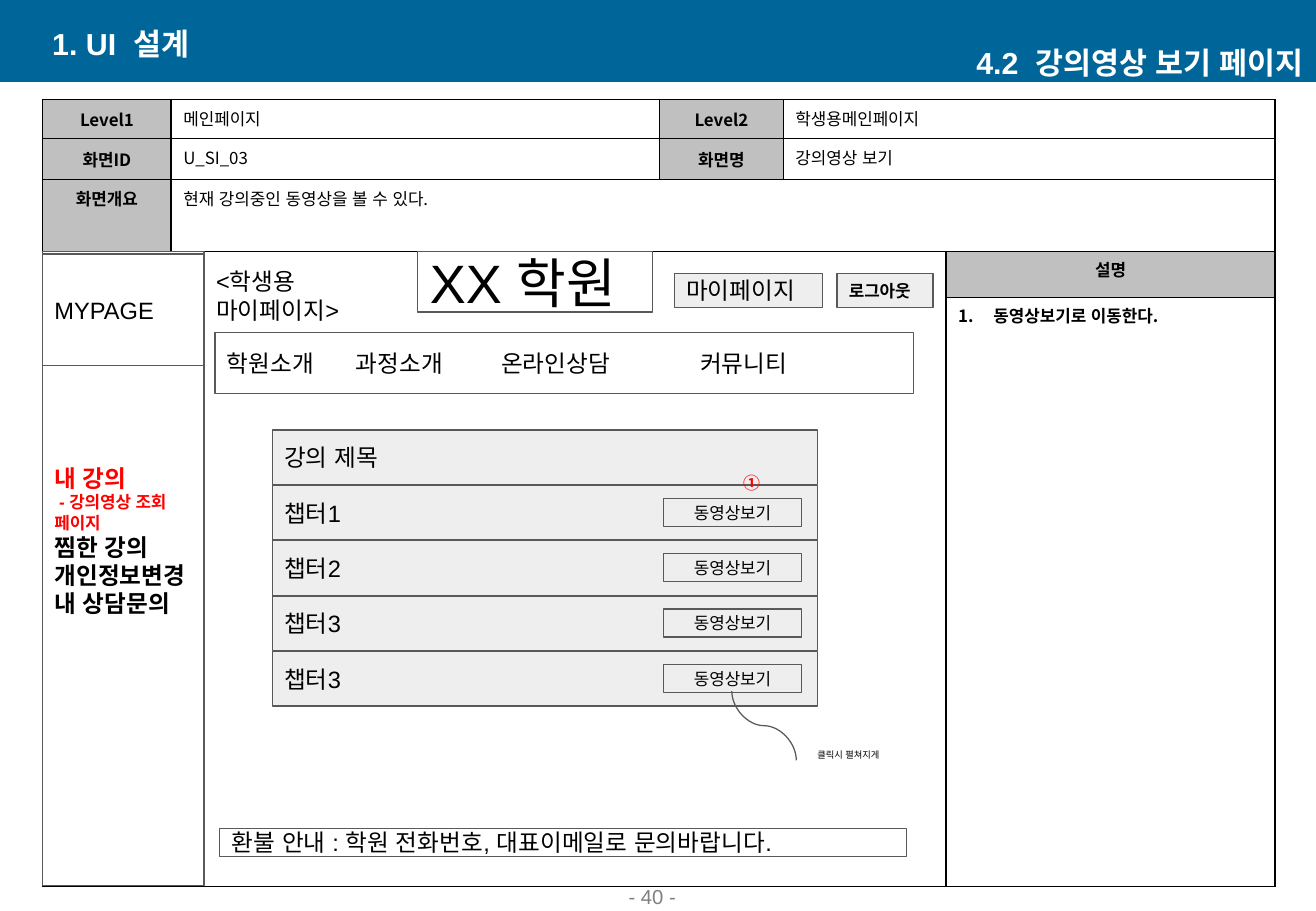
import pptx
import pptx.util
import pptx.dml.color
import pptx.enum.dml
import pptx.enum.lang
import pptx.enum.shapes
import pptx.enum.text
import pptx.oxml
import pptx.oxml.ns

Pt = pptx.util.Pt
ALIGN = pptx.enum.text.PP_ALIGN
ANCHOR = pptx.enum.text.MSO_ANCHOR
SHAPE = pptx.enum.shapes.MSO_SHAPE
NS = pptx.oxml.ns.nsdecls("a")
SANS, NOTO = "Arial", "Noto Sans CJK KR"
BLUE, BLACK, WHITE, RED = "006699", "000000", "FFFFFF", "FF0000"
GRAY, PALE, DARK, MUTE = "C0C0C0", "EEEEEE", "595959", "808080"

# Content: table cells as (row, column, text, is label, last row, last column)
COLS = [76.3, 289.4, 73.4, 96.5, 195.1]
ROWS = [23.3, 24.2, 42.6, 27.2, 349.4]
CELLS = [
    (0, 0, "Level1", True, 0, 0), (0, 1, "메인페이지", False, 0, 1),
    (0, 2, "Level2", True, 0, 2), (0, 3, "학생용메인페이지", False, 0, 4),
    (1, 0, "화면ID", True, 1, 0), (1, 1, "U_SI_03", False, 1, 1),
    (1, 2, "화면명", True, 1, 2), (1, 3, "강의영상 보기", False, 1, 4),
    (2, 0, "화면개요", True, 2, 0),
    (2, 1, "현재 강의중인 동영상을 볼 수 있다.", False, 2, 4),
    (3, 0, "", False, 4, 3), (3, 4, "설명", True, 3, 4),
    (4, 4, "동영상보기로 이동한다.", False, 4, 4),
]
SIDE = [("내 강의", 14, RED), (" - 강의영상 조회 페이지", 10, RED),
        ("찜한 강의", 14, BLACK), ("개인정보변경", 14, BLACK),
        ("내 상담문의", 14, BLACK)]
MENU = ["학원소개", "과정소개", "온라인상담", "커뮤니티"]
STOPS = [76.5, 162.5, 280.5]
LIST = ["강의 제목", "챕터1", "챕터2", "챕터3", "챕터3"]
# Framed boxes: place, text, size, fill, bold
BOXES = [
    ((247.7, 149, 139, 36), "XX 학원", 32, WHITE, False),
    ((25.2, 150.5, 95.8, 66.2), "MYPAGE", 14, WHITE, False),
    ((127.4, 197.3, 414, 36), "\t".join(MENU), 14, WHITE, False),
    ((130.3, 491, 406.8, 16.6), "환불 안내 : 학원 전화번호, 대표이메일로 문의바랍니다.",
     14, WHITE, False),
    ((399.6, 162, 87.8, 20.2), "마이페이지", 14, PALE, False),
    ((496.1, 162, 56.9, 20.2), "로그아웃", 10, PALE, True),
]

deck = pptx.Presentation()
deck.slide_width, deck.slide_height = Pt(780), Pt(540)
slide = deck.slides.add_slide(deck.slide_layouts[6])
shapes = slide.shapes


def color(code):
    return pptx.dml.color.RGBColor.from_string(code)


def paint(fill, code):
    fill.solid()
    fill.fore_color.rgb = color(code)


def write(para, text, size, tone=BLACK, bold=False, face=SANS, align=ALIGN.LEFT):
    para.alignment = align
    run = para.add_run()
    run.text = text
    font = run.font
    font.size, font.bold, font.name = Pt(size), bold, face
    font.color.rgb = color(tone)
    font.language_id = pptx.enum.lang.MSO_LANGUAGE_ID.KOREAN
    east = pptx.oxml.parse_xml(f'<a:ea {NS} typeface="{face}"/>')
    run.font._element.append(east)


def inset(frame, side, edge, anchor):
    frame.word_wrap = True
    frame.margin_left = frame.margin_right = Pt(side)
    frame.margin_top = frame.margin_bottom = Pt(edge)
    frame.vertical_anchor = anchor


def label(place, text, size, edge=7.2, anchor=ANCHOR.TOP, **style):
    frame = shapes.add_textbox(*map(Pt, place)).text_frame
    inset(frame, 7.2, edge, anchor)
    write(frame.paragraphs[0], text, size, **style)


def block(place, fill, line=DARK):
    box = shapes.add_shape(SHAPE.RECTANGLE, *map(Pt, place))
    box.shadow.inherit = False
    paint(box.fill, fill)
    if line:
        box.line.color.rgb = color(line)
        box.line.width = Pt(0.75)
    else:
        box.line.fill.background()
    inset(box.text_frame, 7.2, 7.2, ANCHOR.MIDDLE)
    return box.text_frame


def panel(place, text, size, fill, bold=False, align=ALIGN.LEFT):
    para = block(place, fill).paragraphs[0]
    write(para, text, size, bold=bold, align=align)
    return para


# Header band and page number
block((0, 0, 780, 48.5), BLUE, None)
label((305.3, 525.6, 162.7, 16.6), "- 40 -", 12, 3.6, ANCHOR.BOTTOM,
      tone=MUTE, align=ALIGN.CENTER)
label((23.8, 13.7, 315.4, 23.8), "1. UI  설계", 18, 3.6, ANCHOR.MIDDLE,
      tone=WHITE, bold=True)
label((464.4, 25.2, 315.4, 23.8), "4.2  강의영상 보기 페이지", 18, 3.6, ANCHOR.MIDDLE,
      tone=WHITE, bold=True, align=ALIGN.RIGHT)

# Specification table
table = shapes.add_table(len(ROWS), len(COLS), Pt(25.2), Pt(59),
                         Pt(sum(COLS)), Pt(sum(ROWS))).table
table.first_row = table.horz_banding = False
for col, width in zip(table.columns, COLS):
    col.width = Pt(width)
for row, height in zip(table.rows, ROWS):
    row.height = Pt(height)
for cell in table.iter_cells():
    cell.margin_top = cell.margin_bottom = 0
    paint(cell.fill, WHITE)
    for spot, side in enumerate("LRTB"):
        cell._tc.tcPr.insert(spot, pptx.oxml.parse_xml(
            f'<a:ln{side} {NS} w="12700"><a:solidFill><a:srgbClr val="{BLACK}"/>'
            f'</a:solidFill></a:ln{side}>'))
for top, left, text, head, low, right in CELLS:
    cell = table.cell(top, left)
    if (top, left) != (low, right):
        cell.merge(table.cell(low, right))
    cell.margin_left = cell.margin_right = Pt(7.2)
    cell.margin_top = cell.margin_bottom = Pt(3.6)
    cell.vertical_anchor = ANCHOR.MIDDLE if head and top < 2 else ANCHOR.TOP
    if head:
        paint(cell.fill, GRAY)
    if text:
        write(cell.text_frame.paragraphs[0], text, 10, bold=head or top == 4,
              face=NOTO, align=ALIGN.CENTER if head else ALIGN.LEFT)

# Numbered note in the last cell
note = table.cell(4, 4).text_frame.paragraphs[0]._p.get_or_add_pPr()
note.set("marL", str(Pt(20.9)))
note.set("indent", str(-Pt(20.9)))
note.append(pptx.oxml.parse_xml(f'<a:buFont {NS} typeface="{NOTO}"/>'))
note.append(pptx.oxml.parse_xml(f'<a:buAutoNum {NS} type="arabicPeriod"/>'))

# Sidebar
side = block((25.2, 149, 95.8, 375.8), WHITE)
side.margin_bottom = Pt(40)
for spot, (text, size, tone) in enumerate(SIDE):
    para = side.add_paragraph() if spot else side.paragraphs[0]
    write(para, text, size, tone, True)

# Page heading, menu and buttons
label((121, 151.2, 129.6, 48.2), "<학생용 마이페이지>", 14)
for box in BOXES:
    para = panel(*box)
    if "\t" in box[1]:
        tabs = "".join(f'<a:tab pos="{Pt(stop)}" algn="l"/>' for stop in STOPS)
        para._p.get_or_add_pPr().append(
            pptx.oxml.parse_xml(f"<a:tabLst {NS}>{tabs}</a:tabLst>"))

# Lecture list with a play button for each chapter
for spot, text in enumerate(LIST):
    y = 254.9 + 32.8 * spot
    panel((161.3, y, 323.3, 32.4), text, 14, PALE)
    if spot:
        panel((393.1, y + 7.7, 82.1, 16.6), "동영상보기", 10, PALE,
              align=ALIGN.CENTER)

# Callout curve, turned so that it leaves the button downward
curve = shapes.add_connector(pptx.enum.shapes.MSO_CONNECTOR.CURVE,
                             Pt(473.4), Pt(411.1), Pt(432.4), Pt(449.3))
curve.line.color.rgb = color(DARK)
curve.line.width = Pt(0.75)
curve._element.spPr.append(pptx.oxml.parse_xml(f"<a:effectLst {NS}/>"))
curve._element.spPr.xfrm.set("rot", str(270 * 60000))
label((477.4, 440.6, 82.1, 20.9), "클릭시 펼쳐지게", 5.5)
label((433.4, 274.3, 24.5, 26.6), "①", 10, tone=RED, bold=True, face=NOTO)

deck.save("out.pptx")
